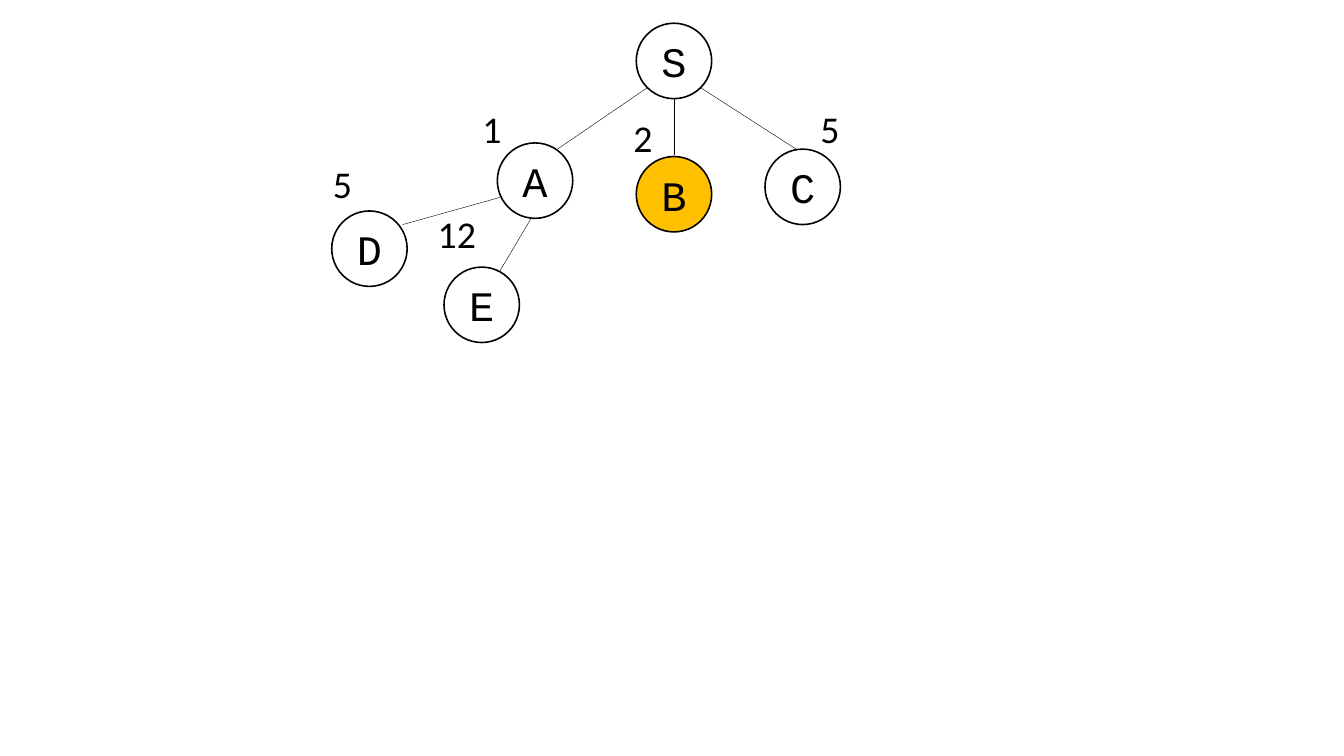
from dataclasses import dataclass

import pptx
import pptx.dml.color
import pptx.enum.shapes
import pptx.enum.text
import pptx.oxml.ns
import pptx.util
from lxml import etree

Inches = pptx.util.Inches
Pt = pptx.util.Pt
Align = pptx.enum.text.PP_ALIGN
Anchor = pptx.enum.text.MSO_ANCHOR


@dataclass(frozen=True)
class Theme:
    ink: str = "000000"
    highlight: str = "FFC000"
    node_font: str = "Courier New"
    cost_font: str = "Calibri"
    node_size: float = 53.3
    cost_size: float = 48
    outline: float = 2
    edge: float = 0.5


THEME = Theme()
NODE_DIAMETER = 1.33
COST_HEIGHT = 0.91
TREE_BOX = (5.77, 0.41)

# Positions below are inches from the top left of the tree box.
NODES = {
    "S": (5.45, 0),
    "A": (3, 2.11),
    "B": (5.45, 2.35),
    "C": (7.72, 2.22),
    "D": (0.08, 3.31),
    "E": (2.06, 4.3),
}
EXPANDED_NODE = "B"
# Each edge: start, end, cost, place of the cost, width of the cost
EDGES = [
    ((5.64, 1.14), (4.06, 2.22), "1", (2.64, 1.41), 0.94),
    ((6.12, 1.33), (6.12, 2.32), "2", (5.3, 1.56), 0.94),
    ((6.59, 1.14), (8.27, 2.22), "5", (8.6, 1.41), 0.94),
    ((3.05, 3.07), (1.33, 3.55), "5", (0, 2.37), 0.94),
    ((3.59, 3.45), (3.05, 4.36), "12", (1.85, 3.26), 1.27),
]


def color(value):
    return pptx.dml.color.RGBColor.from_string(value)


def write(shape, text, *, font, size, align=Align.LEFT, anchor=Anchor.TOP):
    frame = shape.text_frame
    frame.word_wrap = True
    frame.vertical_anchor = anchor
    para = frame.paragraphs[0]
    para.alignment = align
    span = para.add_run()
    span.text = text
    span.font.name = font
    span.font.size = Pt(size)
    span.font.color.rgb = color(THEME.ink)


def add_edge(page, start, end):
    line = page.shapes.add_connector(
        pptx.enum.shapes.MSO_CONNECTOR.STRAIGHT,
        *map(Inches, start + end))
    line.line.color.rgb = color(THEME.ink)
    line.line.width = Pt(THEME.edge)
    properties = line._element.spPr
    etree.SubElement(properties, pptx.oxml.ns.qn("a:effectLst"))


def add_node(page, name, left, top):
    node = page.shapes.add_shape(
        pptx.enum.shapes.MSO_SHAPE.OVAL, Inches(left), Inches(top),
        Inches(NODE_DIAMETER), Inches(NODE_DIAMETER))
    node.shadow.inherit = False
    if name == EXPANDED_NODE:
        node.fill.solid()
        node.fill.fore_color.rgb = color(THEME.highlight)
    else:
        node.fill.background()
    node.line.color.rgb = color(THEME.ink)
    node.line.width = Pt(THEME.outline)
    write(node, name, font=THEME.node_font, size=THEME.node_size,
          align=Align.CENTER, anchor=Anchor.MIDDLE)


def add_cost(page, cost, left, top, width):
    label = page.shapes.add_textbox(
        Inches(left), Inches(top), Inches(width), Inches(COST_HEIGHT))
    write(label, cost, font=THEME.cost_font, size=THEME.cost_size)


def add_search_tree(page, box):
    def place(point):
        return box[0] + point[0], box[1] + point[1]

    for start, end, cost, spot, width in EDGES:
        add_edge(page, place(start), place(end))
        add_cost(page, cost, *place(spot), width)
    for name, corner in NODES.items():
        add_node(page, name, *place(corner))


def main():
    deck = pptx.Presentation()
    deck.slide_width = Inches(23.7)
    deck.slide_height = Inches(13.33)
    page = deck.slides.add_slide(deck.slide_layouts[6])
    add_search_tree(page, TREE_BOX)
    deck.save("out.pptx")


if __name__ == "__main__":
    main()
